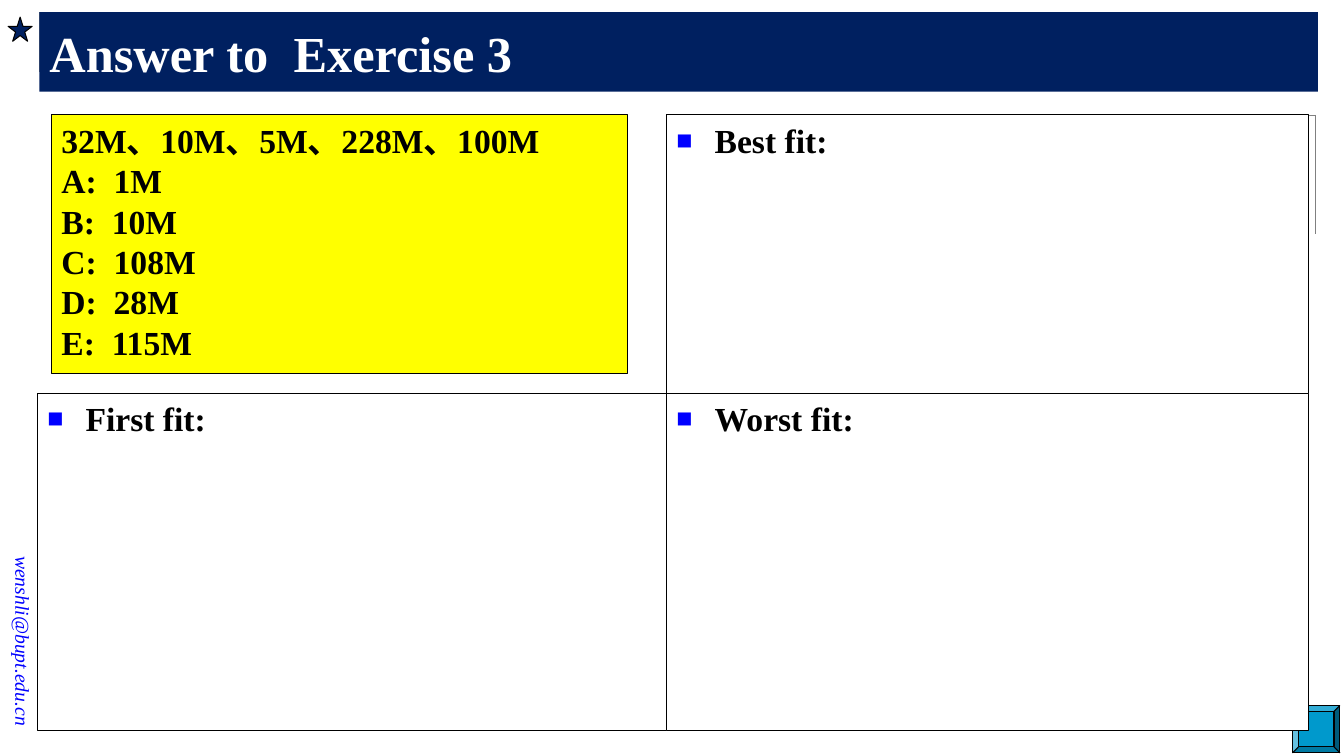
import pptx
import pptx.util
import pptx.dml.color
import pptx.enum.shapes
import pptx.enum.text
import pptx.oxml
import pptx.oxml.ns
from dataclasses import dataclass

SHAPE = pptx.enum.shapes.MSO_SHAPE
ANCHOR = pptx.enum.text.MSO_ANCHOR
ALIGN = pptx.enum.text.PP_ALIGN
WIDTH = pptx.util.Inches(13.33)
HEIGHT = pptx.util.Inches(7.5)
COLUMNS = (2.78, 49.59, 97.37)
ROWS = (15.2, 52, 96.67)


@dataclass(frozen=True)
class Theme:
    font: str = "Times New Roman"
    navy: str = "002060"
    white: str = "FFFFFF"
    black: str = "000000"
    blue: str = "0000FF"
    yellow: str = "FFFF00"
    teal: str = "0099CC"
    grey: str = "808080"
    title_size: int = 36
    body_size: int = 24
    address_size: int = 14
    outline: float = 0.75
    guide: float = 0.5


THEME = Theme()


def rgb(value):
    return pptx.dml.color.RGBColor.from_string(value)


def place(left, top, width, height):
    return (round(WIDTH * left / 100), round(HEIGHT * top / 100),
            round(WIDTH * width / 100), round(HEIGHT * height / 100))


def apply(target, formats):
    for name, value in formats.items():
        setattr(target, name, value)


def write(frame, lines, size, color, anchor=ANCHOR.TOP, align=ALIGN.LEFT,
          bold=True, italic=False, bulleted=False):
    apply(frame, {"word_wrap": True, "vertical_anchor": anchor,
                  "auto_size": pptx.enum.text.MSO_AUTO_SIZE.NONE})
    frame.text = "\n".join(lines)
    for paragraph in frame.paragraphs:
        paragraph.alignment = align
        if bulleted:
            add_bullet(paragraph)
        for run in paragraph.runs:
            apply(run.font, {"name": THEME.font, "size": pptx.util.Pt(size),
                             "bold": bold, "italic": italic})
            run.font.color.rgb = rgb(color)


def add_bullet(paragraph):
    properties = paragraph._p.get_or_add_pPr()
    indent = pptx.util.Inches(0.38)
    properties.set("marL", str(indent))
    properties.set("indent", str(-indent))
    namespace = pptx.oxml.ns.nsdecls("a")
    for markup in (
        f'<a:buClr {namespace}><a:srgbClr val="{THEME.blue}"/></a:buClr>',
        f'<a:buSzPct {namespace} val="80000"/>',
        f'<a:buFont {namespace} typeface="{THEME.font}"/>',
        f'<a:buChar {namespace} char="■"/>',
    ):
        properties.append(pptx.oxml.parse_xml(markup))


def add_block(slide, kind, area, fill):
    block = slide.shapes.add_shape(kind, *place(*area))
    block.shadow.inherit = False
    block.fill.solid()
    block.fill.fore_color.rgb = rgb(fill)
    block.line.color.rgb = rgb(THEME.black)
    block.line.width = pptx.util.Pt(THEME.outline)
    return block


def add_corner(slide, x, y, across, down):
    for reach_x, reach_y in ((across, 0), (0, down)):
        start_x, start_y, end_x, end_y = place(x, y, x + reach_x, y + reach_y)
        guide = slide.shapes.add_connector(
            pptx.enum.shapes.MSO_CONNECTOR.STRAIGHT, start_x, start_y, end_x, end_y)
        guide.line.color.rgb = rgb(THEME.grey)
        guide.line.width = pptx.util.Pt(THEME.guide)
        guide._element.spPr.append(pptx.oxml.parse_xml(
            f'<a:effectLst {pptx.oxml.ns.nsdecls("a")}/>'))


def add_answer(slide, column, row, heading):
    left, top = COLUMNS[column], ROWS[row]
    area = (left, top, COLUMNS[column + 1] - left, ROWS[row + 1] - top)
    answer = add_block(slide, SHAPE.RECTANGLE, area, THEME.white)
    write(answer.text_frame, [heading], THEME.body_size, THEME.black, bulleted=True)


def add_address(slide, address):
    margin_note = slide.shapes.add_textbox(*place(-8.18, 77.47, 19.8, 4.53))
    margin_note.rotation = 90
    write(margin_note.text_frame, [address], THEME.address_size, THEME.blue,
          anchor=ANCHOR.MIDDLE, align=ALIGN.RIGHT, bold=False, italic=True)


def set_title(slide, heading):
    title = slide.shapes.title
    left, top, width, height = place(2.93, 1.6, 95.12, 10.53)
    apply(title, {"left": left, "top": top, "width": width, "height": height})
    title.fill.solid()
    title.fill.fore_color.rgb = rgb(THEME.navy)
    write(title.text_frame, [heading], THEME.title_size, THEME.white,
          anchor=ANCHOR.MIDDLE)
    slide.shapes._spTree.append(title._element)


def main():
    deck = pptx.Presentation()
    apply(deck, {"slide_width": WIDTH, "slide_height": HEIGHT})
    slide = deck.slides.add_slide(deck.slide_layouts.get_by_name("Title Only"))

    add_address(slide, "wenshli@bupt.edu.cn")
    add_corner(slide, 2.93, 1.6, 14.78, 7.87)
    add_corner(slide, 97.9, 15.2, -14.78, 15.73)
    add_block(slide, SHAPE.STAR_5_POINT, (0.6, 2.27, 1.8, 3.2), THEME.navy)
    set_title(slide, "Answer to  Exercise 3")

    add_answer(slide, 0, 1, "First fit:")
    add_answer(slide, 1, 0, "Best fit:")
    requests = add_block(slide, SHAPE.RECTANGLE, (3.83, 15.2, 42.84, 34.27), THEME.yellow)
    write(requests.text_frame,
          ["32M、10M、5M、228M、100M", "A:  1M", "B:  10M", "C:  108M",
           "D:  28M", "E:  115M"],
          THEME.body_size, THEME.black)
    add_block(slide, SHAPE.BEVEL, (96.17, 93.33, 3.53, 6.27), THEME.teal)
    add_answer(slide, 1, 1, "Worst fit:")

    deck.save("out.pptx")


if __name__ == "__main__":
    main()
